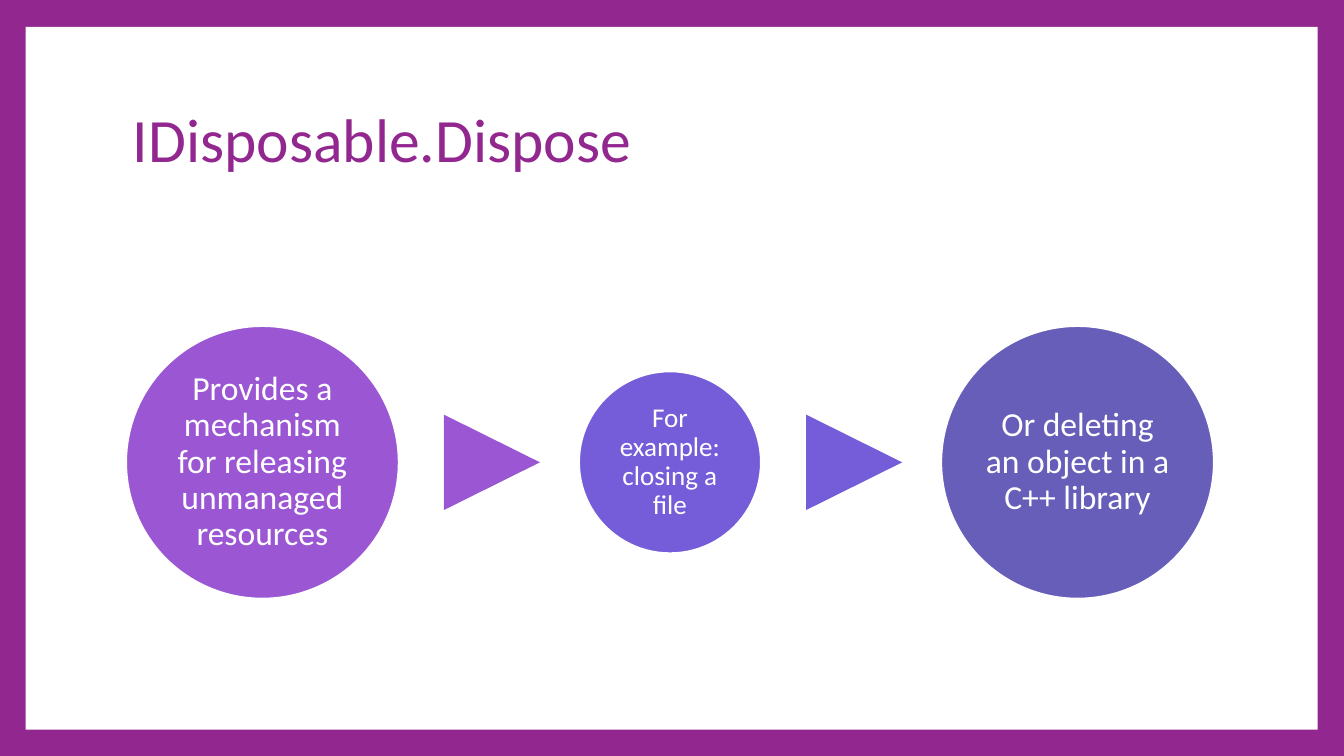
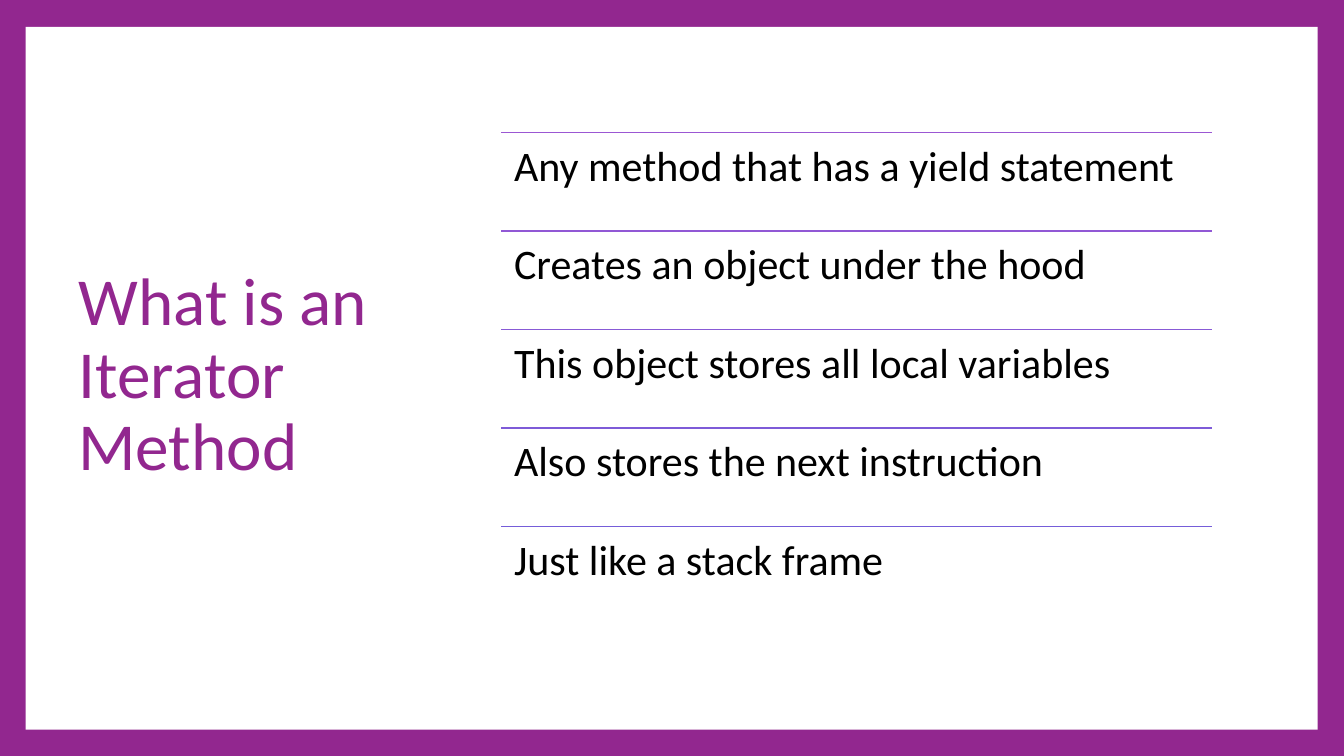
from dataclasses import dataclass

import pptx
import pptx.dml.color
import pptx.enum.shapes
import pptx.enum.text
import pptx.oxml
import pptx.util

SHAPE = pptx.enum.shapes.MSO_SHAPE
ALIGN = pptx.enum.text.PP_ALIGN
ANCHOR = pptx.enum.text.MSO_ANCHOR

COLUMNS, ROWS = 100, 56.25
CELL = pptx.util.Inches(0.2)


@dataclass(frozen=True)
class Theme:
    font: str = "Calibri"
    brand: str = "92278F"
    paper: str = "FFFFFF"
    ink: str = "000000"
    steps: tuple = ("9B57D3", "755DD9", "665EB8")
    rules: tuple = ("9B57D3", "9158D5", "885AD6", "7E5BD8", "755DD9")
    title: int = 66
    side_title: int = 72
    row: int = 45
    large_step: int = 36
    small_step: int = 29
    line: float = 1.5
    line_spacing: float = 0.9


THEME = Theme()


def cells(*counts):
    return [round(count * CELL) for count in counts]


def rgb(value):
    return pptx.dml.color.RGBColor.from_string(value)


def write(shape, text, size, color, inset, anchor=ANCHOR.MIDDLE, align=ALIGN.LEFT):
    frame = shape.text_frame
    frame.word_wrap = True
    frame.vertical_anchor = anchor
    frame.margin_left = frame.margin_right = pptx.util.Inches(inset)
    frame.margin_top = frame.margin_bottom = pptx.util.Inches(inset)
    frame.text = text
    para = frame.paragraphs[0]
    para.alignment = align
    para.line_spacing = THEME.line_spacing
    para.font.name = THEME.font
    para.font.size = pptx.util.Pt(size)
    para.font.color.rgb = rgb(color)


def add_text(page, area, text, size, color, inset, anchor=ANCHOR.MIDDLE):
    box = page.shapes.add_textbox(*cells(*area))
    write(box, text, size, color, inset, anchor)


def add_solid(page, kind, area, color, outline=None):
    shape = page.shapes.add_shape(kind, *cells(*area))
    shape.shadow.inherit = False
    shape.fill.solid()
    shape.fill.fore_color.rgb = rgb(color)
    if outline:
        shape.line.color.rgb = rgb(outline)
        shape.line.width = pptx.util.Pt(THEME.line)
    else:
        shape.line.fill.background()
    return shape


def add_rule(page, left, top, width, color):
    rule = page.shapes.add_connector(
        pptx.enum.shapes.MSO_CONNECTOR.STRAIGHT, *cells(left, top, left + width, top))
    rule.line.color.rgb = rgb(color)
    rule.line.width = pptx.util.Pt(THEME.line)
    rule._element.spPr.append(pptx.oxml.parse_xml(
        '<a:effectLst xmlns:a="http://schemas.openxmlformats.org/drawingml/2006/main"/>'))


def add_page(deck, title, title_area, title_size):
    page = deck.slides.add_slide(deck.slide_layouts[6])
    page.background.fill.solid()
    page.background.fill.fore_color.rgb = rgb(THEME.brand)
    add_solid(page, SHAPE.RECTANGLE, (1.9, 2, 96.15, 52.3), THEME.paper)
    add_text(page, title_area, title, title_size, THEME.brand, 0.1)
    return page


def add_circle_chain(page, left, middle, steps):
    arrow_width, arrow_height, gap_before, gap_after = 7.1, 7.15, 3.4, 2.95
    for index, (text, diameter, size) in enumerate(steps):
        color = THEME.steps[index]
        circle = add_solid(page, SHAPE.OVAL,
                           (left, middle - diameter / 2, diameter, diameter),
                           color, THEME.paper)
        write(circle, text, size, THEME.paper, 0.05, align=ALIGN.CENTER)
        left += diameter + gap_before
        if index < len(steps) - 1:
            arrow = add_solid(page, SHAPE.ISOSCELES_TRIANGLE,
                              (left, middle - arrow_height / 2, arrow_width, arrow_height),
                              color)
            arrow.rotation = 90
        left += arrow_width + gap_after


def add_ruled_list(page, left, top, width, pitch, rows):
    for index, (text, color) in enumerate(zip(rows, THEME.rules)):
        row_top = top + index * pitch
        add_rule(page, left, row_top, width, color)
        add_text(page, (left, row_top, width, pitch), text, THEME.row,
                 THEME.ink, 0.19, ANCHOR.TOP)


def main():
    deck = pptx.Presentation()
    deck.slide_width, deck.slide_height = cells(COLUMNS, ROWS)

    dispose = add_page(deck, "IDisposable.Dispose", (9.4, 5, 81, 11.15), THEME.title)
    add_circle_chain(dispose, 9.4, 34.4, [
        ("Provides a mechanism for releasing unmanaged resources", 20.25, THEME.large_step),
        ("For example: closing a file", 13.5, THEME.small_step),
        ("Or deleting an object in a C++ library", 20.25, THEME.large_step),
    ])

    iterator = add_page(deck, "What is an Iterator Method", (5.35, 5, 27.6, 46),
                        THEME.side_title)
    add_ruled_list(iterator, 37.3, 9.85, 52.9, 7.33, [
        "Any method that has a yield statement",
        "Creates an object under the hood",
        "This object stores all local variables",
        "Also stores the next instruction",
        "Just like a stack frame",
    ])

    deck.save("out.pptx")


if __name__ == "__main__":
    main()
